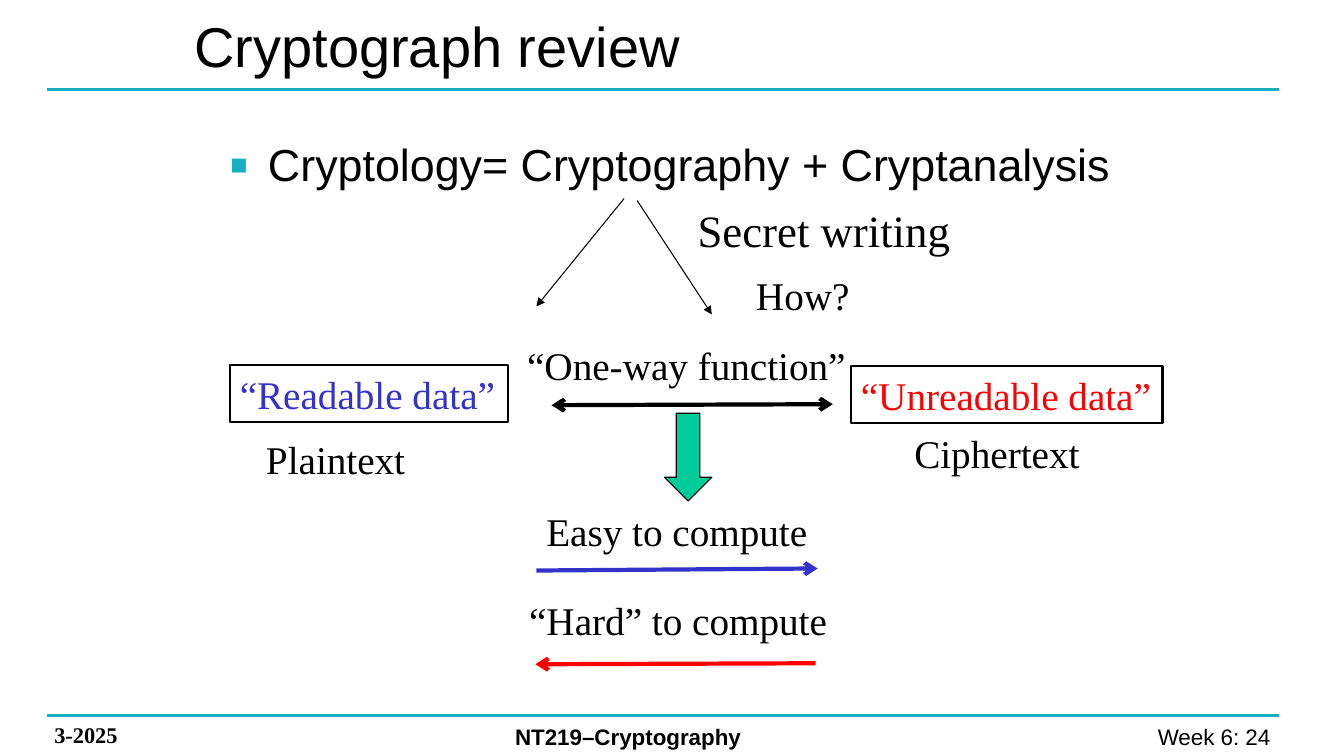
from dataclasses import dataclass

from lxml import etree
from pptx import Presentation
from pptx.dml.color import RGBColor
from pptx.enum import shapes, text
from pptx.oxml import ns
from pptx.util import Inches, Pt


@dataclass(frozen=True)
class Theme:
    black: str = "000000"
    teal: str = "16AFC2"
    blue: str = "3333CC"
    red: str = "FF0000"
    green: str = "00CC99"
    sans: str = "Arial"
    serif: str = "Times New Roman"
    title: int = 40
    lead: int = 32
    label: int = 28
    footer: int = 16


T = Theme()


@dataclass(frozen=True)
class Label:
    words: str
    box: tuple[float, float, float, float]
    size: int = T.label
    font: str = T.serif
    color: str = T.black
    bold: bool = False
    align: text.PP_ALIGN = text.PP_ALIGN.LEFT
    anchor: text.MSO_ANCHOR = text.MSO_ANCHOR.TOP
    wrap: bool = False
    grow: bool = True
    framed: bool = False
    bullet: bool = False


@dataclass(frozen=True)
class Line:
    start: tuple[float, float]
    end: tuple[float, float]
    color: str = T.black
    width: float = 3
    head: str = ""
    tail: str = ""


# Header and footer
RULES = [Line((0.47, y), (12.69, y), T.teal, 2.25) for y in (0.89, 7.1)]
FOOTERS = [
    Label("3-2025", (0.44, 7.11, 1.78, 0.37), T.footer, bold=True, wrap=True),
    Label("NT219–Cryptography", (5.01, 7.12, 4.09, 0.37), T.footer, T.sans,
          bold=True, wrap=True),
    Label("Week 6: 24 ", (9.82, 7.12, 2.94, 0.37), T.footer, T.sans,
          align=text.PP_ALIGN.RIGHT, wrap=True),
]

# Title and lead statement
HEADINGS = [
    Label("Cryptograph review", (1.83, 0.01, 7.28, 0.87), T.title, T.sans,
          anchor=text.MSO_ANCHOR.MIDDLE, wrap=True, grow=False),
    Label("Cryptology= Cryptography + Cryptanalysis", (2.18, 1.31, 8.97, 1.93),
          T.lead, T.sans, wrap=True, grow=False, bullet=True),
]

# One-way function diagram
LABELS = [
    Label("Secret writing", (6.82, 1.96, 2.73, 0.64), T.lead),
    Label("How?", (7.4, 2.64, 1.14, 0.57)),
    Label("“Readable data”", (2.28, 3.62, 2.76, 0.57), color=T.blue, framed=True),
    Label("“Unreadable data”", (8.44, 3.63, 3.09, 0.57), color=T.red, framed=True),
    Label("Plaintext", (2.54, 4.27, 1.6, 0.57)),
    Label("Ciphertext", (8.97, 4.21, 1.86, 0.57)),
    Label("“One-way function”", (5.13, 3.34, 3.38, 0.57)),
    Label("Easy to compute", (5.32, 4.98, 2.82, 0.57)),
    Label("“Hard” to compute", (5.15, 5.87, 3.17, 0.57)),
]
ARROWS = [
    Line((6.19, 1.97), (5.32, 3.04), width=0.75, tail="triangle"),
    Line((6.32, 1.99), (7.06, 3.12), width=0.75, tail="triangle"),
    Line((5.47, 4.02), (8.26, 4.01), head="arrow", tail="arrow"),
    Line((5.32, 5.66), (8.11, 5.64), T.blue, tail="arrow"),
    Line((5.31, 6.59), (8.09, 6.58), T.red, head="arrow"),
]


def rgb(color: str) -> RGBColor:
    return RGBColor.from_string(color)


def apply(target, formats: dict) -> None:
    for name, value in formats.items():
        setattr(target, name, value)


def add_xml(parent, tag: str, **attrs: str):
    return etree.SubElement(parent, ns.qn(tag), attrs)


def add_bullet(p) -> None:
    """Hanging square bullet with proportional space before."""
    pPr = p._p.get_or_add_pPr()
    indent = Inches(0.38)
    pPr.set("marL", str(indent))
    pPr.set("indent", str(-indent))
    add_xml(add_xml(pPr, "a:spcBef"), "a:spcPct", val="25000")
    add_xml(add_xml(pPr, "a:buClr"), "a:srgbClr", val=T.teal)
    add_xml(pPr, "a:buSzPct", val="125000")
    add_xml(pPr, "a:buFont", typeface=T.sans)
    add_xml(pPr, "a:buChar", char="▪")


def add_label(s, label: Label) -> None:
    box = [Inches(v) for v in label.box]
    if label.framed:
        sp = s.shapes.add_shape(shapes.MSO_SHAPE.RECTANGLE, *box)
        sp.shadow.inherit = False
        sp.fill.background()
        sp.line.color.rgb = rgb(T.black)
        sp.line.width = Pt(1.5)
    else:
        sp = s.shapes.add_textbox(*box)
    tf = sp.text_frame
    fit = text.MSO_AUTO_SIZE
    apply(tf, {"word_wrap": label.wrap, "vertical_anchor": label.anchor,
               "auto_size": fit.SHAPE_TO_FIT_TEXT if label.grow else fit.NONE})
    p = tf.paragraphs[0]
    p.alignment = label.align
    if label.bullet:
        add_bullet(p)
    r = p.add_run()
    r.text = label.words
    apply(r.font, {"size": Pt(label.size), "name": label.font, "bold": label.bold})
    r.font.color.rgb = rgb(label.color)


def add_line(s, line: Line) -> None:
    points = [Inches(v) for v in line.start + line.end]
    cx = s.shapes.add_connector(shapes.MSO_CONNECTOR.STRAIGHT, *points)
    cx.line.color.rgb = rgb(line.color)
    cx.line.width = Pt(line.width)
    ln = cx.line._get_or_add_ln()
    for tag, kind in (("a:headEnd", line.head), ("a:tailEnd", line.tail)):
        if kind:
            add_xml(ln, tag, type=kind)
    add_xml(cx._element.spPr, "a:effectLst")


def add_down_arrow(s) -> None:
    sp = s.shapes.add_shape(shapes.MSO_SHAPE.DOWN_ARROW, Inches(6.59), Inches(4.1),
                            Inches(0.47), Inches(0.87))
    sp.shadow.inherit = False
    sp.fill.solid()
    sp.fill.fore_color.rgb = rgb(T.green)
    sp.line.color.rgb = rgb(T.black)
    sp.line.width = Pt(0.75)


def main() -> None:
    prs = Presentation()
    apply(prs, {"slide_width": Inches(13.33), "slide_height": Inches(7.5)})
    s = prs.slides.add_slide(prs.slide_layouts[6])
    for line in RULES + ARROWS:
        add_line(s, line)
    add_down_arrow(s)
    for label in FOOTERS + HEADINGS + LABELS:
        add_label(s, label)
    prs.save("out.pptx")


if __name__ == "__main__":
    main()
